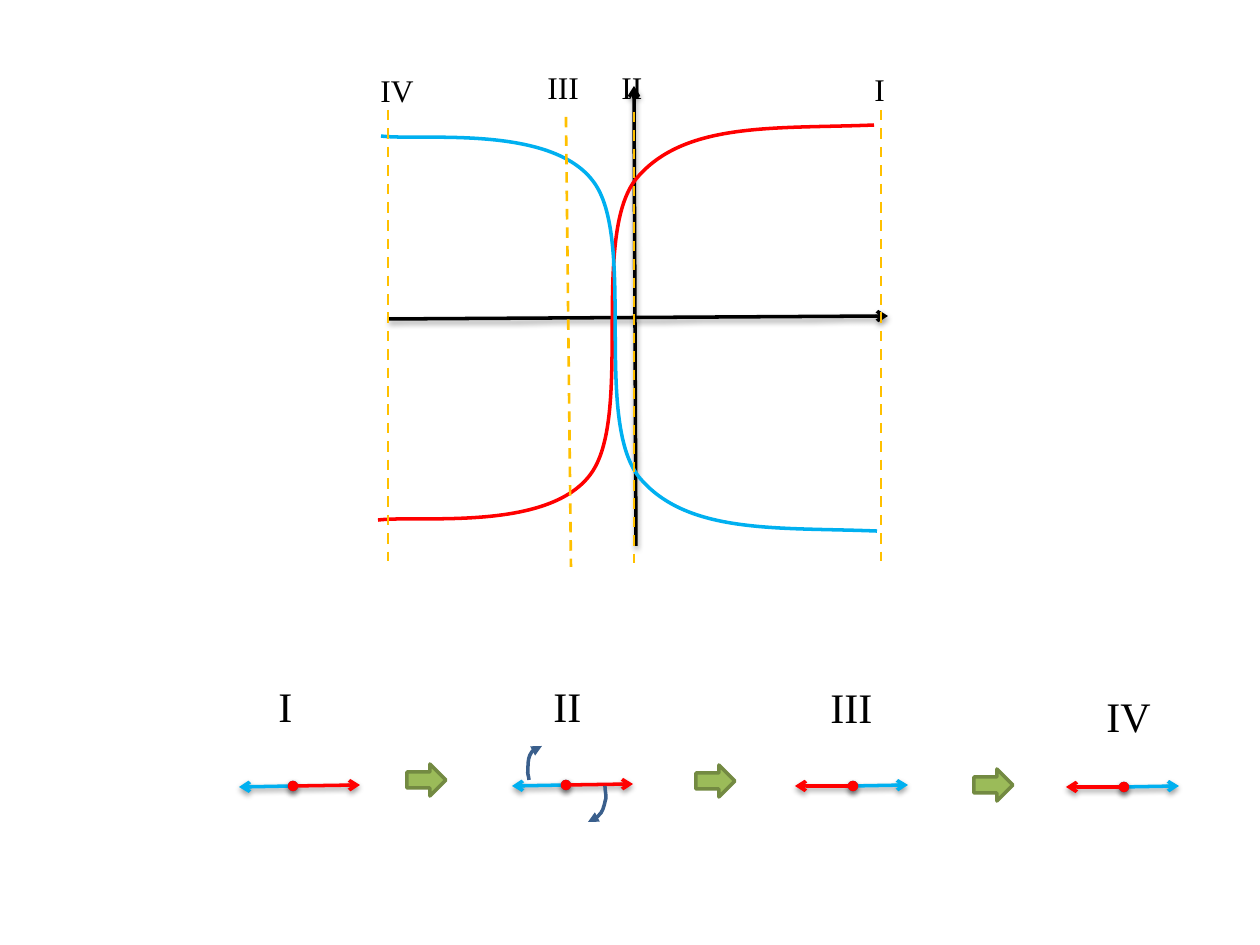
import lxml.etree
import pptx
import pptx.dml.color
import pptx.enum.dml
import pptx.enum.shapes
import pptx.oxml.ns
import pptx.util

PX = 914400 // 126
FONT = "Times New Roman"
COLORS = {"black": "000000", "red": "FF0000", "blue": "00B0F0", "gold": "FFC000",
          "green": "9BBB59", "olive": "738A42", "navy": "3A5F8C"}

AXES = [((389, 319), (888, 316)), ((636, 546), (634, 86))]
RED_CURVE = [(874, 125), (776, 129), (684, 121), (636, 179), (590, 237),
             (634, 418), (590, 475), (547, 532), (417, 515), (378, 520)]
BLUE_CURVE = [(x + 3, 656 - y) for x, y in RED_CURVE]
CUTS = [((566, 117), (571, 567)), ((634, 112), (634, 563)),
        ((881, 110), (881, 561)), ((388, 110), (388, 561))]
CUT_LABELS = [("I", 862, 64, 32), ("III", 535, 62, 58), ("IV", 368, 65, 62), ("II", 609, 62, 47)]

BLUE_LEFT = {"blue": (-54, 1), "red": (67, -1)}
BLUE_RIGHT = {"blue": (55, -1), "red": (-58, 0)}
STAGES = [
    ("I", (266, 674, 38), (293, 786), BLUE_LEFT),
    ("II", (541, 674, 58), (566, 785), BLUE_LEFT),
    ("III", (818, 675, 79), (853, 786), BLUE_RIGHT),
    ("IV", (1094, 684, 78), (1124, 787), BLUE_RIGHT),
]
TURNS = [
    [(605, 786), (605, 790), (606, 794), (606, 798), (605, 801),
     (604, 809), (601, 813), (599, 816), (595, 820), (588, 822)],
    [(529, 780), (529, 776), (527, 774), (528, 770), (528, 765),
     (528, 759), (530, 755), (533, 750), (536, 747), (542, 746)],
]
STEPS = [(407, 764), (696, 765), (974, 769)]
STEP_SIZE = (39, 32)


def px(*values):
    return [value * PX for value in values]


def rgb(name):
    return pptx.dml.color.RGBColor.from_string(COLORS[name])


def add_child(parent, tag, **attributes):
    return lxml.etree.SubElement(parent, pptx.oxml.ns.qn(tag), attributes)


def style_line(shape, color, width, head=None, tail=None):
    shape.line.color.rgb = rgb(color)
    shape.line.width = pptx.util.Pt(width)
    ln = shape.line._get_or_add_ln()
    for tag, kind in (("a:headEnd", head), ("a:tailEnd", tail)):
        if kind:
            add_child(ln, tag, type=kind)


def add_line(shapes, start, end, color, width=2, head=None, tail=None, shadow=False):
    line = shapes.add_connector(pptx.enum.shapes.MSO_CONNECTOR.STRAIGHT, *px(*start, *end))
    style_line(line, color, width, head, tail)
    effects = add_child(line._element.spPr, "a:effectLst")
    if shadow:
        outer = add_child(effects, "a:outerShdw", blurRad="40000", dist="20000",
                          dir="5400000", rotWithShape="0")
        add_child(add_child(outer, "a:srgbClr", val=COLORS["black"]), "a:alpha", val="38000")
    return line


def add_curve(shapes, points, color, tail=None):
    anchors = [px(*point) for point in points[::3]]
    builder = shapes.build_freeform(*anchors[0])
    builder.add_line_segments(anchors[1:], close=False)
    curve = builder.convert_to_shape()
    left, top = (min(axis) for axis in zip(*anchors))
    segments = curve._element.spPr.findall(".//" + pptx.oxml.ns.qn("a:lnTo"))
    for index, segment in enumerate(segments):
        segment.tag
        bezier = lxml.etree.Element(pptx.oxml.ns.qn("a:cubicBezTo"))
        for point in points[3 * index + 1:3 * index + 4]:
            x, y = px(*point)
            add_child(bezier, "a:pt", x=str(x - left), y=str(y - top))
        segment.getparent().replace(segment, bezier)
    curve.fill.background()
    curve.shadow.inherit = False
    style_line(curve, color, 2, tail=tail)


def add_numeral(shapes, numeral, left, top, width, height, size):
    frame = shapes.add_textbox(*px(left, top, width, height)).text_frame
    frame.word_wrap = True
    run = frame.paragraphs[0].add_run()
    run.text = numeral
    run.font.name = FONT
    run.font.size = pptx.util.Pt(size)
    run.font.color.rgb = rgb("black")


def add_graph(shapes):
    for start, end in AXES:
        add_line(shapes, start, end, "black", tail="arrow", shadow=True)
    add_curve(shapes, RED_CURVE, "red")
    add_curve(shapes, BLUE_CURVE, "blue")
    for start, end in CUTS:
        cut = add_line(shapes, start, end, "gold", 1.5)
        cut.line.dash_style = pptx.enum.dml.MSO_LINE.DASH
    for numeral, left, top, width in CUT_LABELS:
        add_numeral(shapes, numeral, left, top, width, 46, 18)


def add_stages(shapes):
    for numeral, label_box, (x, y), arms in STAGES:
        add_numeral(shapes, numeral, *label_box, 63, 24)
        vectors = shapes.add_group_shape().shapes
        for color, (dx, dy) in arms.items():
            add_line(vectors, (x, y), (x + dx, y + dy), color,
                     head="oval", tail="arrow", shadow=True)
        if numeral == "II":
            for turn in TURNS:
                add_curve(vectors, turn, "navy", tail="triangle")
    for left, top in STEPS:
        step = shapes.add_shape(pptx.enum.shapes.MSO_SHAPE.RIGHT_ARROW,
                                *px(left, top, *STEP_SIZE))
        step.shadow.inherit = False
        step.fill.solid()
        step.fill.fore_color.rgb = rgb("green")
        style_line(step, "olive", 2)


def main():
    deck = pptx.Presentation()
    deck.slide_width = pptx.util.Inches(10)
    deck.slide_height = pptx.util.Inches(7.5)
    slide = deck.slides.add_slide(deck.slide_layouts[6])
    add_stages(slide.shapes)
    add_graph(slide.shapes.add_group_shape().shapes)
    deck.save("out.pptx")


if __name__ == "__main__":
    main()
